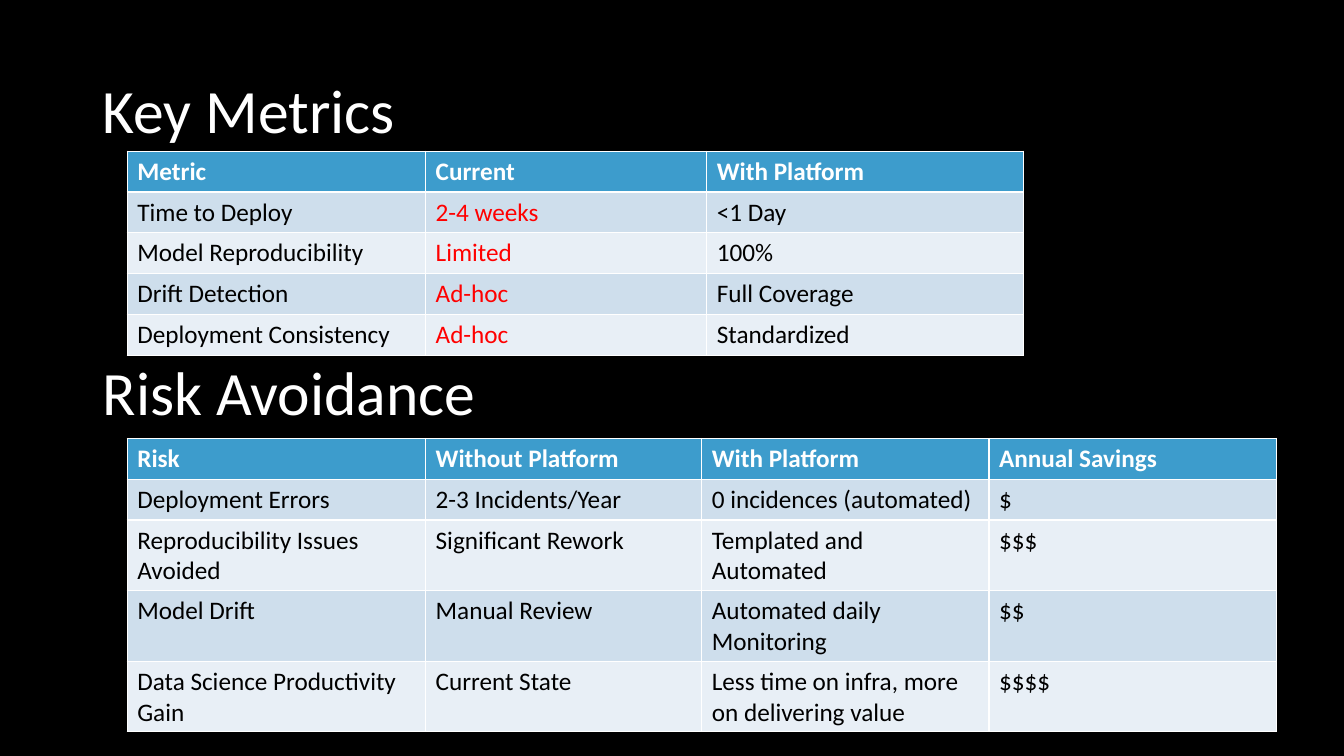
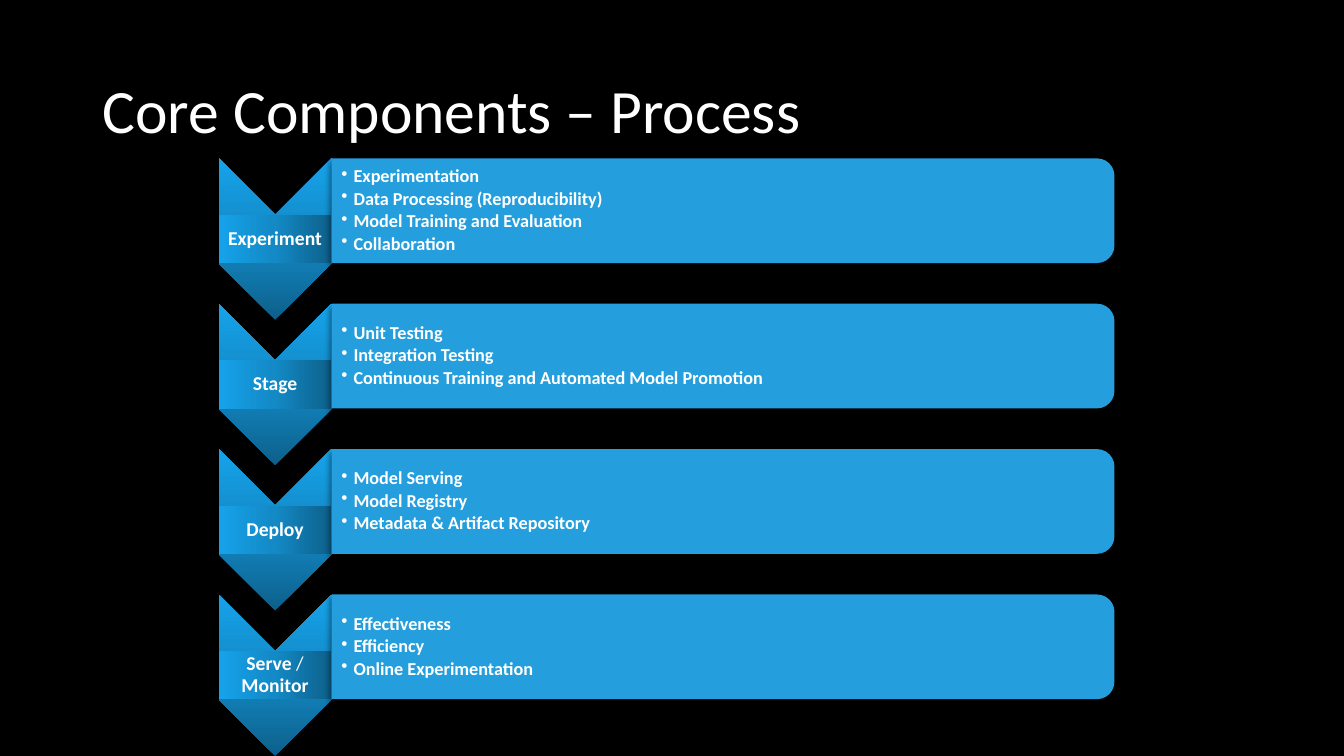
from dataclasses import dataclass

from lxml.etree import SubElement
from pptx import Presentation
from pptx.dml.color import RGBColor as RGB
from pptx.enum.shapes import MSO_SHAPE as SHAPE
from pptx.enum.text import MSO_ANCHOR as ANCHOR, PP_ALIGN as ALIGN
from pptx.oxml.ns import qn
from pptx.util import Inches, Pt


@dataclass(frozen=True)
class Theme:
    width: int = Inches(13.33)
    height: int = Inches(7.5)
    font: str = "Calibri"
    title_size: int = 44
    table_size: int = 18
    label_size: int = 14
    bullet_size: int = 13
    back: str = "000000"
    light: str = "FFFFFF"
    dark: str = "000000"
    alert: str = "FF0000"
    header: str = "3D9CCC"
    bands: tuple = ("CEDEEC", "E8EFF6")
    bar: str = "249EDC"
    gradient: tuple = ((0, "0D608B"), (50, "1389C5"), (100, "16A2EA"))


T = Theme()

# Tables: column widths are percent of the slide's width
METRIC_COLS = (22.2, 20.92, 23.55)
METRICS = (
    ("Metric", "Current", "With Platform"),
    ("Time to Deploy", "2-4 weeks", "<1 Day"),
    ("Model Reproducibility", "Limited", "100%"),
    ("Drift Detection", "Ad-hoc", "Full Coverage"),
    ("Deployment Consistency", "Ad-hoc", "Standardized"),
)
RISK_COLS = (22.2, 20.55, 21.38, 21.38)
RISKS = (
    ("Risk", "Without Platform", "With Platform", "Annual Savings"),
    ("Deployment Errors", "2-3 Incidents/Year", "0 incidences (automated)", "$"),
    ("Reproducibility Issues Avoided", "Significant Rework",
     "Templated and Automated", "$$$"),
    ("Model Drift", "Manual Review", "Automated daily Monitoring", "$$"),
    ("Data Science Productivity Gain", "Current State",
     "Less time on infra, more on delivering value", "$$$$"),
)

# Process stages: label runs and bullets
STAGES = (
    (("Experiment",), ("Experimentation", "Data Processing (Reproducibility)",
                       "Model Training and Evaluation", "Collaboration")),
    (("Stage",), ("Unit Testing", "Integration Testing",
                  "Continuous Training and Automated Model Promotion")),
    (("Deploy",), ("Model Serving", "Model Registry",
                   "Metadata & Artifact Repository")),
    (("Serve", " / ", "Monitor"), ("Effectiveness", "Efficiency",
                                   "Online Experimentation")),
)


# Lengths and type
def across(percent):
    return round(T.width * percent / 100)


def down(percent):
    return round(T.height * percent / 100)


def style(p, size, color, bold=False):
    f = p.font
    f.name, f.size, f.bold = T.font, Pt(size), bold
    f.color.rgb = RGB.from_string(color)


def set_frame(tf, left=0.01, other=0.01):
    tf.word_wrap = True
    tf.vertical_anchor = ANCHOR.MIDDLE
    tf.margin_left = Inches(left)
    tf.margin_top = tf.margin_right = tf.margin_bottom = Inches(other)


# Fills and effects
def fill_solid(target, color):
    target.fill.solid()
    target.fill.fore_color.rgb = RGB.from_string(color)


def fill_gradient(sp):
    sp.fill.gradient()
    sp.fill.gradient_angle = 180
    stops = sp._element.spPr.find(qn("a:gradFill")).find(qn("a:gsLst"))
    for stop in list(stops):
        stops.remove(stop)
    for position, color in T.gradient:
        stop = SubElement(stops, qn("a:gs"), pos=str(position * 1000))
        SubElement(stop, qn("a:srgbClr"), val=color)


def cast_shadow(sp):
    effects = sp._element.spPr.find(qn("a:effectLst"))
    shadow = SubElement(effects, qn("a:outerShdw"), blurRad=str(Pt(4)),
                        dist=str(Pt(3)), dir=str(135 * 60000), rotWithShape="0")
    color = SubElement(shadow, qn("a:srgbClr"), val=T.dark)
    SubElement(color, qn("a:alpha"), val="40000")


# Elements
def add_slide(prs):
    s = prs.slides.add_slide(prs.slide_layouts[6])
    fill_solid(s.background, T.back)
    return s


def add_title(s, text, top=5.33):
    box = s.shapes.add_textbox(across(6.9), down(top), across(86.27), down(19.33))
    set_frame(box.text_frame, 0.1, 0.05)
    p = box.text_frame.paragraphs[0]
    p.text = text
    p.line_spacing = 0.9
    style(p, T.title_size, T.light)


def add_grid(s, top, cols, rows, alert_col=None):
    widths = [across(c) for c in cols]
    row_height = down(5.4)
    table = s.shapes.add_table(len(rows), len(cols), across(9.47), down(top),
                               sum(widths), row_height * len(rows)).table
    for column, width in zip(table.columns, widths):
        column.width = width
    for i, row in enumerate(rows):
        table.rows[i].height = row_height
        for j, text in enumerate(row):
            cell = table.cell(i, j)
            cell.text = text
            head = i == 0
            fill_solid(cell, T.header if head else T.bands[(i - 1) % 2])
            color = T.light if head else T.alert if j == alert_col else T.dark
            style(cell.text_frame.paragraphs[0], T.table_size, color, head)


def add_block(s, kind, x, y, w, h):
    sp = s.shapes.add_shape(kind, x, y, w, h)
    sp.shadow.inherit = False
    sp.line.fill.background()
    return sp


def add_turned(s, kind, x, y, w, h):
    """Add a shape turned a quarter so that it covers the given box."""
    sp = add_block(s, kind, x + (w - h) // 2, y + (h - w) // 2, h, w)
    sp.rotation = 90
    cast_shadow(sp)
    return sp


def add_arrow(s, runs, x, y, w, h):
    fill_gradient(add_turned(s, SHAPE.CHEVRON, x, y, w, h))
    label = add_block(s, SHAPE.RECTANGLE, x, y + w // 2, w, h - w)
    fill_gradient(label)
    set_frame(label.text_frame)
    p = label.text_frame.paragraphs[0]
    p.alignment = ALIGN.CENTER
    p.line_spacing = 0.9
    style(p, T.label_size, T.light, True)
    for text in runs:
        r = p.add_run()
        r.text = text
        if text.strip() == "/":
            r.font.bold = False


def add_bar(s, bullets, x, y, w, h):
    fill_solid(add_turned(s, SHAPE.ROUND_2_SAME_RECTANGLE, x, y, w, h), T.bar)
    tf = s.shapes.add_textbox(x, y, w, h).text_frame
    set_frame(tf, 0.1)
    for i, text in enumerate(bullets):
        p = tf.add_paragraph() if i else tf.paragraphs[0]
        p.text = text
        p.line_spacing = 0.9
        p.space_after = Pt(2)
        style(p, T.bullet_size, T.light, True)
        pPr = p._p.get_or_add_pPr()
        pPr.set("marL", str(Inches(0.12)))
        pPr.set("indent", str(-Inches(0.12)))
        bullet = pPr.makeelement(qn("a:buChar"), {"char": "•"})
        pPr.find(qn("a:defRPr")).addprevious(bullet)


# Slides
def build_metrics(prs):
    s = add_slide(prs)
    add_title(s, "Key Metrics")
    add_grid(s, 20, METRIC_COLS, METRICS, alert_col=1)
    add_grid(s, 58, RISK_COLS, RISKS)
    add_title(s, "Risk Avoidance", 42.67)


def build_process(prs):
    s = add_slide(prs)
    left, arrow_width = across(16.27), across(8.4)
    for i, (runs, bullets) in enumerate(STAGES):
        top = down(20.95 + 19.23 * i)
        add_arrow(s, runs, left, top, arrow_width, down(21.35))
        add_bar(s, bullets, left + arrow_width, top, across(58.25), down(13.85))
    add_title(s, "Core Components – Process")


def main():
    prs = Presentation()
    prs.slide_width, prs.slide_height = T.width, T.height
    build_metrics(prs)
    build_process(prs)
    prs.save("out.pptx")


if __name__ == "__main__":
    main()
